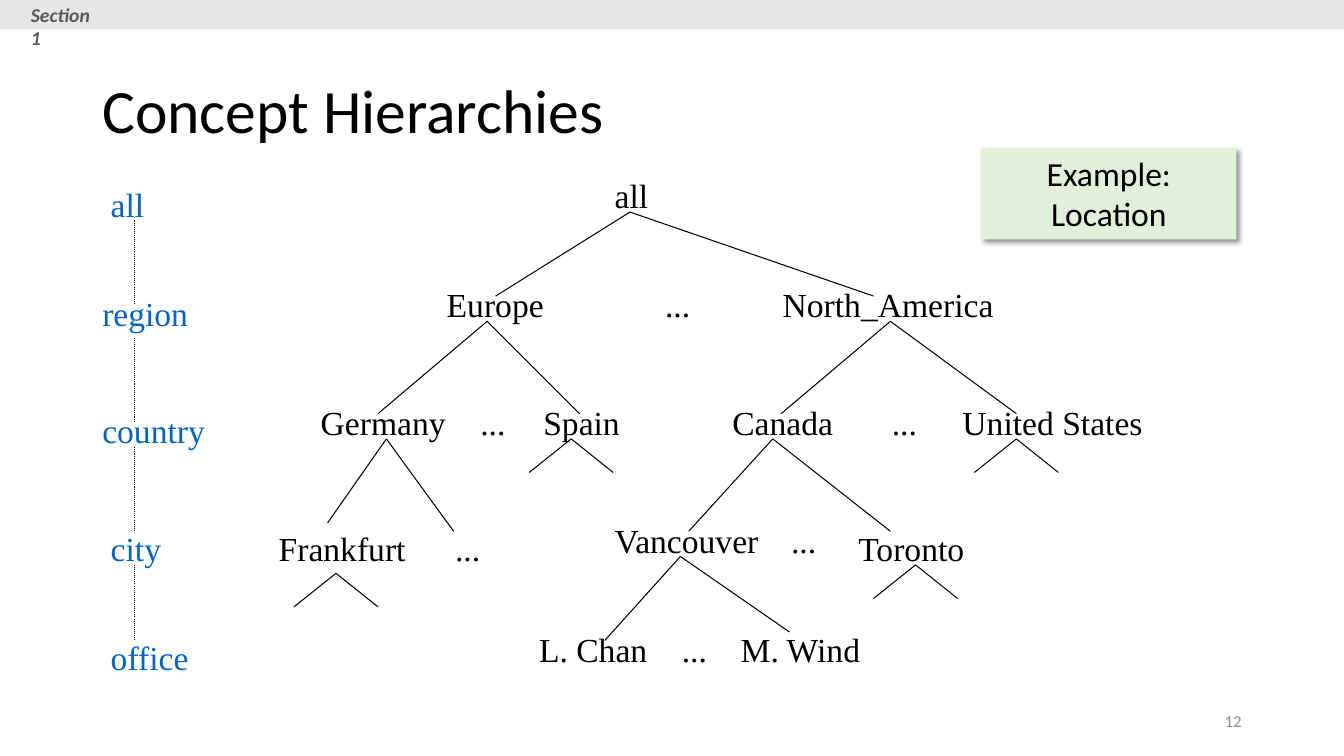
from dataclasses import dataclass
from typing import NamedTuple

from lxml.etree import SubElement
from pptx import Presentation
from pptx.dml.color import RGBColor
from pptx.enum.dml import MSO_LINE
from pptx.enum.shapes import MSO_CONNECTOR, MSO_SHAPE
from pptx.enum.text import MSO_ANCHOR, MSO_AUTO_SIZE, PP_ALIGN
from pptx.oxml.ns import qn
from pptx.shapes.autoshape import Shape
from pptx.slide import Slide
from pptx.util import Inches, Length, Pt


@dataclass(frozen=True)
class Theme:
    heading_font: str = "Calibri"
    tree_font: str = "Times New Roman"
    ink: str = "000000"
    level: str = "0563C1"
    section: str = "595959"
    number: str = "8C8C8C"
    banner: str = "E7E6E6"
    example: str = "E2F0D9"
    title_size: int = 44
    body_size: int = 24
    section_size: int = 14
    number_size: int = 12
    line_width: float = 0.75


class Style(NamedTuple):
    font: str
    size: int
    color: str
    emphasis: bool = False


class Area(NamedTuple):
    column: float
    row: float
    columns: float
    rows: float


class Point(NamedTuple):
    column: float
    row: float


class Label(NamedTuple):
    text: str
    column: float
    row: float
    columns: float


class Branch(NamedTuple):
    peak: Point
    left: Point
    right: Point


THEME = Theme()
COLUMNS, ROWS = 160, 90
CELL = Inches(1 / 12)
TREE_DROP = 0.25
LABEL_ROWS = 6
LEVEL_COLUMN = 16

NODES = [
    Label("all", 72, 20, 6.5),
    Label("Europe", 52, 33, 14.1),
    Label("North_America", 92, 33, 27.6),
    Label("Germany", 37, 47, 17.4),
    Label("Spain", 63.5, 47, 11.6),
    Label("Canada", 86, 47, 14.5),
    Label("United States", 113.4, 47, 24.1),
    Label("Frankfurt", 32, 62, 17.6),
    Label("Vancouver", 72, 61, 20),
    Label("Toronto", 101, 62, 15.3),
    Label("L. Chan", 63, 74, 15.4),
    Label("M. Wind", 87, 74, 16.9),
]
GAPS = [Point(78, 33), Point(56, 47), Point(105, 47),
        Point(53, 62), Point(93, 61), Point(80, 74)]
ELLIPSES = [Label("...", gap.column, gap.row, 5.5) for gap in GAPS]
LEVELS = [
    Label("all", 12, 21, 6.5),
    Label("region", 11, 34, 12.7),
    Label("country", 11, 48, 14.7),
    Label("city", 12, 62, 8.5),
    Label("office", 12, 75, 11.9),
]
LEVEL_SPANS = [(26, 36), (40, 50), (53, 63), (67, 76)]
BRANCHES = [
    Branch(Point(75, 25), Point(59, 35), Point(104, 35)),
    Branch(Point(58, 38), Point(45, 49), Point(69, 49)),
    Branch(Point(106, 38), Point(93, 49), Point(121, 49)),
    Branch(Point(46, 52), Point(39, 62), Point(54, 63)),
    Branch(Point(92, 52), Point(82, 63), Point(106, 63)),
    Branch(Point(81, 66), Point(72, 76), Point(94, 75)),
]
TWIG_PEAKS = [Point(68, 52), Point(121, 52), Point(40, 68), Point(109, 67)]
TWIGS = [
    Branch(peak, Point(peak.column - 5, peak.row + 4), Point(peak.column + 5, peak.row + 4))
    for peak in TWIG_PEAKS
]


def cells(count: float) -> Length:
    return Length(round(count * CELL))


def write(box: Shape, text: str, style: Style, align: PP_ALIGN = PP_ALIGN.LEFT,
          anchor: MSO_ANCHOR = MSO_ANCHOR.TOP, wrap: bool = True) -> None:
    frame = box.text_frame
    frame.text = text
    frame.word_wrap = wrap
    frame.auto_size = MSO_AUTO_SIZE.NONE if wrap else MSO_AUTO_SIZE.SHAPE_TO_FIT_TEXT
    frame.vertical_anchor = anchor
    para = frame.paragraphs[0]
    para.alignment = align
    font = para.runs[0].font
    font.name, font.size = style.font, Pt(style.size)
    font.bold = font.italic = style.emphasis
    font.color.rgb = RGBColor.from_string(style.color)


def add_text_box(page: Slide, area: Area) -> Shape:
    return page.shapes.add_textbox(*map(cells, area))


def add_panel(page: Slide, area: Area, color: str) -> Shape:
    panel = page.shapes.add_shape(MSO_SHAPE.RECTANGLE, *map(cells, area))
    panel.shadow.inherit = False
    panel.fill.solid()
    panel.fill.fore_color.rgb = RGBColor.from_string(color)
    panel.line.fill.background()
    return panel


def add_drop_shadow(panel: Shape) -> None:
    effects = panel.element.spPr.find(qn("a:effectLst"))
    shadow = SubElement(effects, qn("a:outerShdw"), blurRad=str(Pt(4)), dist=str(Pt(3)),
                        dir="2700000", algn="tl", rotWithShape="0")
    color = SubElement(shadow, qn("a:srgbClr"), val=THEME.ink)
    SubElement(color, qn("a:alpha"), val="43000")


def add_label(page: Slide, label: Label, color: str) -> None:
    area = Area(label.column, label.row + TREE_DROP, label.columns, LABEL_ROWS)
    style = Style(THEME.tree_font, THEME.body_size, color)
    write(add_text_box(page, area), label.text, style, wrap=False)


def add_line(page: Slide, start: Point, end: Point, dotted: bool = False) -> None:
    line = page.shapes.add_connector(
        MSO_CONNECTOR.STRAIGHT,
        cells(start.column), cells(start.row + TREE_DROP),
        cells(end.column), cells(end.row + TREE_DROP))
    line.line.color.rgb = RGBColor.from_string(THEME.ink)
    line.line.width = Pt(THEME.line_width)
    if dotted:
        line.line.dash_style = MSO_LINE.ROUND_DOT
    SubElement(line.element.spPr, qn("a:effectLst"))


def main() -> None:
    deck = Presentation()
    deck.slide_width, deck.slide_height = cells(COLUMNS), cells(ROWS)
    page = deck.slides.add_slide(deck.slide_layouts[6])

    title = add_text_box(page, Area(11, 4.8, 138, 17.4))
    write(title, "Concept Hierarchies",
          Style(THEME.heading_font, THEME.title_size, THEME.ink), anchor=MSO_ANCHOR.MIDDLE)
    title.text_frame.paragraphs[0].line_spacing = 0.9
    write(add_text_box(page, Area(113, 83.4, 36, 4.8)), "12",
          Style(THEME.heading_font, THEME.number_size, THEME.number),
          PP_ALIGN.RIGHT, MSO_ANCHOR.MIDDLE)
    add_panel(page, Area(0, 0, COLUMNS, 3.5), THEME.banner)
    write(add_text_box(page, Area(2.5, -0.25, 11, 4)), "Section 1",
          Style(THEME.heading_font, THEME.section_size, THEME.section, True))

    for label in NODES + ELLIPSES:
        add_label(page, label, THEME.ink)
    for label in LEVELS:
        add_label(page, label, THEME.level)
    for branch in BRANCHES + TWIGS:
        add_line(page, branch.peak, branch.left)
        add_line(page, branch.peak, branch.right)
    for top, bottom in LEVEL_SPANS:
        add_line(page, Point(LEVEL_COLUMN, top), Point(LEVEL_COLUMN, bottom), dotted=True)

    example = add_panel(page, Area(116.8, 17.6, 30.4, 10.9), THEME.example)
    add_drop_shadow(example)
    write(example, "Example: Location",
          Style(THEME.heading_font, THEME.body_size, THEME.ink), PP_ALIGN.CENTER)

    deck.save("out.pptx")


if __name__ == "__main__":
    main()
